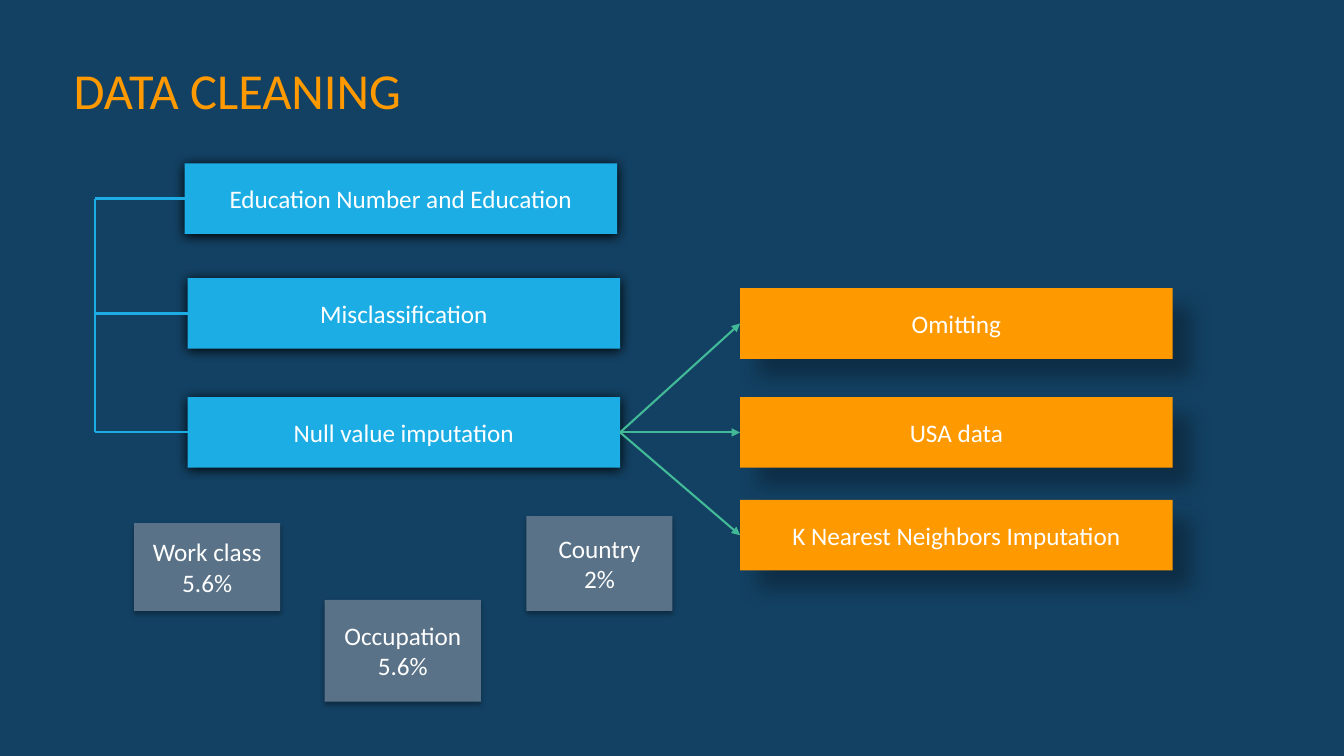
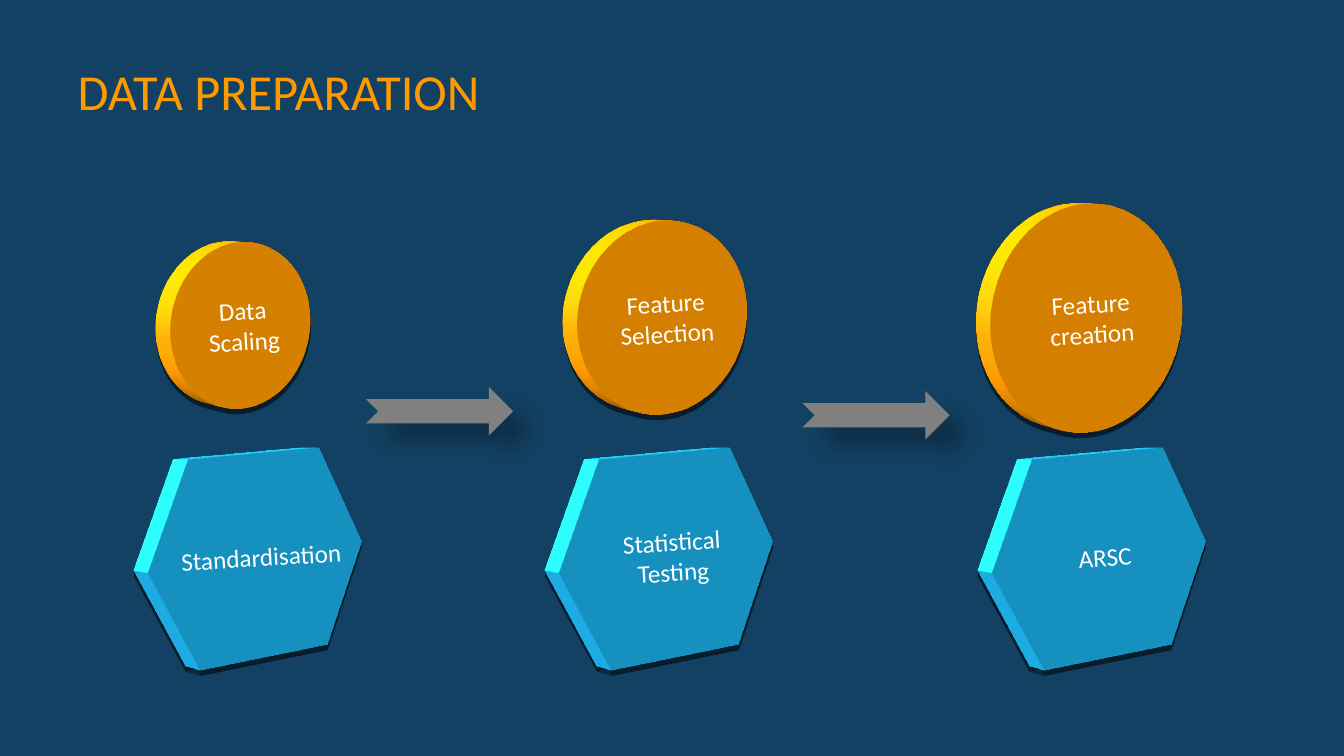
"""Build two slides on data cleaning and data preparation."""
import lxml.etree
import pptx
import pptx.dml.color
import pptx.enum.shapes
import pptx.enum.text
import pptx.oxml
import pptx.oxml.ns
import pptx.util

WIDTH, HEIGHT = 13.33, 7.5
FONT = "Calibri"
COLOURS = {
    "background": "134163", "orange": "FF9900", "blue": "1CADE4", "slate": "597287",
    "grey": "808080", "green": "42BA97", "white": "FFFFFF", "black": "000000",
}
SHADOWS = {
    "tight": (100, 8.5, 1, 90),
    "soft": (32, 3.5, 2.2, 90),
    "cast": (30, 15, 18, 45),
    "solid": (33, 17.8, 4, 87),
}
PRESETS = pptx.enum.shapes.MSO_SHAPE
ALIGN = pptx.enum.text.PP_ALIGN
LEFT_SITE, RIGHT_SITE = 1, 3

BAR_SIZE = (4.29, 0.7)
TRUNK_X = 0.94
STEPS = [
    ("Education Number and Education", 1.83, 1.62),
    ("Misclassification", 1.86, 2.76),
    ("Null value imputation", 1.86, 3.94),
]
METHOD_X = 7.34
METHODS = [("Omitting", 2.86), ("USA data", 3.94), ("K Nearest Neighbors Imputation", 4.96)]
MISSING = [
    ("Work class\n5.6%", (1.33, 5.19, 1.45, 0.87)),
    ("Occupation\n5.6%", (3.22, 5.95, 1.55, 1.01)),
    ("Country\n2%", (5.22, 5.12, 1.45, 0.94)),
]

HEXAGON_TOP, HEXAGON_SIZE = 4.5, (2.58, 2.04)
STAGES = [
    ("Data Scaling", (1.57, 2.4, 1.69, 1.66), "Standardisation", 1.3),
    ("Feature Selection", (5.59, 2.19, 2.04, 1.93), "Statistical Testing", 5.38),
    ("Feature creation", (9.67, 2.02, 2.31, 2.28), "ARSC", 9.67),
]
ARROW_SIZE = (1.46, 0.48)
ARROWS = [(3.63, 3.84), (7.96, 3.88)]

SCENE = """<a:scene3d {ns}><a:camera prst="perspectiveFront" fov="3300000">
<a:rot lat="486000" lon="19530000" rev="174000"/></a:camera>
<a:lightRig rig="harsh" dir="t"><a:rot lat="0" lon="0" rev="3000000"/></a:lightRig></a:scene3d>"""
SOLID = """<a:sp3d {ns} extrusionH="254000" contourW="19050">
<a:bevelT w="82550" h="44450" prst="angle"/><a:bevelB w="82550" h="44450" prst="angle"/>
<a:contourClr><a:srgbClr val="{white}"/></a:contourClr></a:sp3d>"""


def colour(name):
    return pptx.dml.color.RGBColor.from_string(COLOURS[name])


def inches(values):
    return [pptx.util.Inches(value) for value in values]


def add_child(parent, tag, **attributes):
    return lxml.etree.SubElement(
        parent, pptx.oxml.ns.qn(tag), {key: str(value) for key, value in attributes.items()})


def write(shape, text, size=18, ink="white", align=ALIGN.CENTER):
    frame = shape.text_frame
    frame.word_wrap = True
    frame.vertical_anchor = pptx.enum.text.MSO_ANCHOR.MIDDLE
    frame.text = text
    for paragraph in frame.paragraphs:
        paragraph.alignment = align
        font = paragraph.runs[0].font
        font.name, font.size = FONT, pptx.util.Pt(size)
        font.color.rgb = colour(ink)


def add_shadow(shape, name):
    opacity, blur, distance, angle = SHADOWS[name]
    shape.shadow.inherit = False
    effects = shape._element.spPr.find(pptx.oxml.ns.qn("a:effectLst"))
    outer = add_child(
        effects, "a:outerShdw", blurRad=pptx.util.Pt(blur), dist=pptx.util.Pt(distance),
        dir=angle * 60000, algn="tl" if angle == 45 else "ctr", rotWithShape=0)
    black = add_child(outer, "a:srgbClr", val=COLOURS["black"])
    add_child(black, "a:alpha", val=opacity * 1000)


def add_box(slide, box, fill, shadow, text="", preset=PRESETS.RECTANGLE):
    shape = slide.shapes.add_shape(preset, *inches(box))
    shape.fill.solid()
    shape.fill.fore_color.rgb = colour(fill)
    shape.line.fill.background()
    add_shadow(shape, shadow)
    if text:
        write(shape, text)
    return shape


def add_solid(slide, box, fill, text, preset):
    shape = add_box(slide, box, fill, "solid", text, preset)
    namespace = pptx.oxml.ns.nsdecls("a")
    for markup in (SCENE, SOLID):
        shape._element.spPr.append(
            pptx.oxml.parse_xml(markup.format(ns=namespace, white=COLOURS["white"])))


def add_line(slide, start, end, ink):
    line = slide.shapes.add_connector(
        pptx.enum.shapes.MSO_CONNECTOR.STRAIGHT, *inches(start + end))
    line.line.color.rgb = colour(ink)
    line.line.width = pptx.util.Pt(1.5)
    add_child(line._element.spPr, "a:effectLst")
    return line


def add_slide(presentation, title, box):
    slide = presentation.slides.add_slide(presentation.slide_layouts[5])
    shape = slide.shapes.title
    shape.left, shape.top, shape.width, shape.height = inches(box)
    write(shape, title, size=36, ink="orange", align=ALIGN.LEFT)
    return slide


def build_cleaning(presentation):
    slide = add_slide(presentation, "DATA CLEANING", (0.63, 0.51, 3.88, 0.75))
    steps = [add_box(slide, (left, top, *BAR_SIZE), "blue", "tight", text)
             for text, left, top in STEPS]
    for text, box in MISSING:
        add_box(slide, box, "slate", "soft", text)
    methods = [add_box(slide, (METHOD_X, top, *BAR_SIZE), "orange", "cast", text)
               for text, top in METHODS]

    middles = [top + BAR_SIZE[1] / 2 for _, _, top in STEPS]
    add_line(slide, (TRUNK_X, middles[0]), (TRUNK_X, middles[-1]), "blue")
    for step, (_, left, _), middle in zip(steps, STEPS, middles):
        branch = add_line(slide, (TRUNK_X, middle), (left, middle), "blue")
        branch.end_connect(step, LEFT_SITE)

    origin = (STEPS[-1][1] + BAR_SIZE[0], middles[-1])
    for method, (_, top) in zip(methods, METHODS):
        arrow = add_line(slide, origin, (METHOD_X, top + BAR_SIZE[1] / 2), "green")
        arrow.begin_connect(steps[-1], RIGHT_SITE)
        arrow.end_connect(method, LEFT_SITE)
        add_child(arrow.line._get_or_add_ln(), "a:tailEnd", type="triangle")


def build_preparation(presentation):
    slide = add_slide(presentation, "DATA PREPARATION", (0.67, 0.5, 5.51, 0.8))
    for stage, circle, method, left in STAGES:
        add_solid(slide, circle, "orange", stage, PRESETS.OVAL)
        add_solid(slide, (left, HEXAGON_TOP, *HEXAGON_SIZE), "blue", method, PRESETS.HEXAGON)
    for corner in ARROWS:
        add_box(slide, corner + ARROW_SIZE, "grey", "cast", preset=PRESETS.NOTCHED_RIGHT_ARROW)


def main():
    presentation = pptx.Presentation()
    presentation.slide_width, presentation.slide_height = inches((WIDTH, HEIGHT))
    background = presentation.slide_master.background.fill
    background.solid()
    background.fore_color.rgb = colour("background")
    build_cleaning(presentation)
    build_preparation(presentation)
    presentation.save("out.pptx")


if __name__ == "__main__":
    main()
